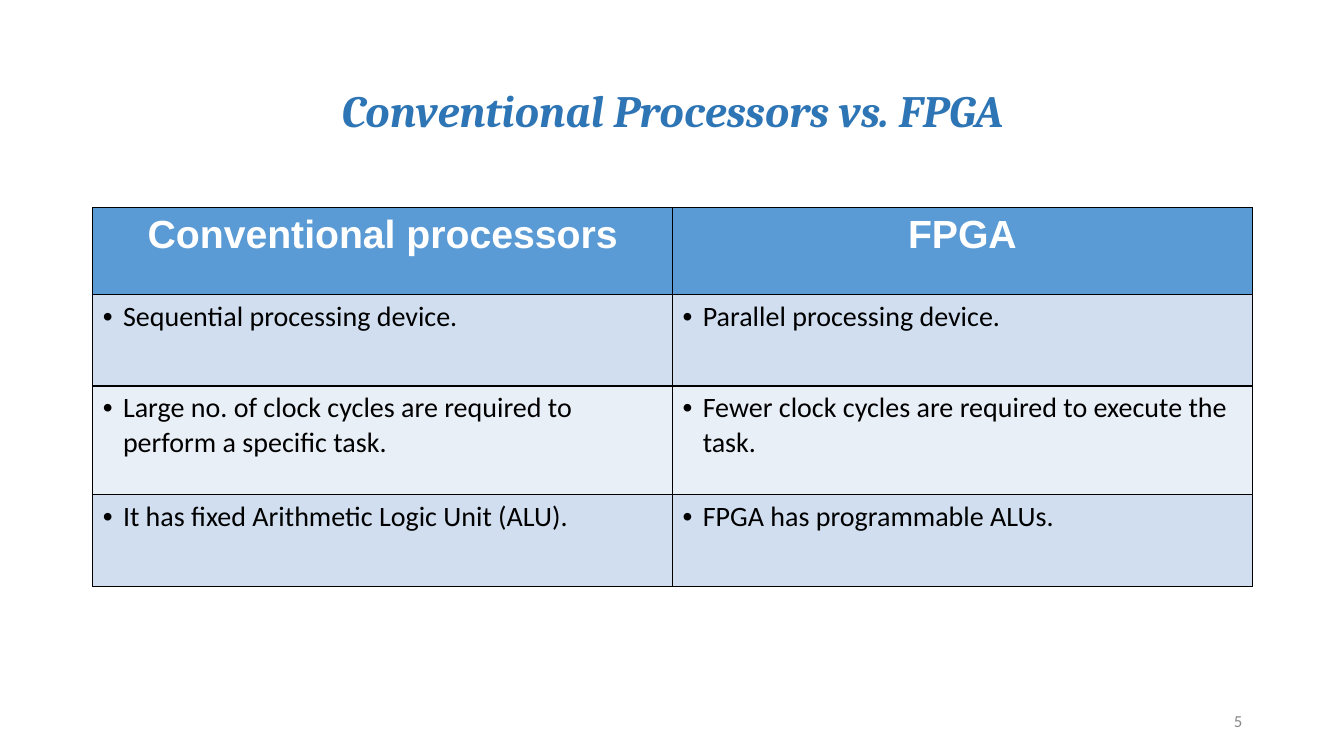
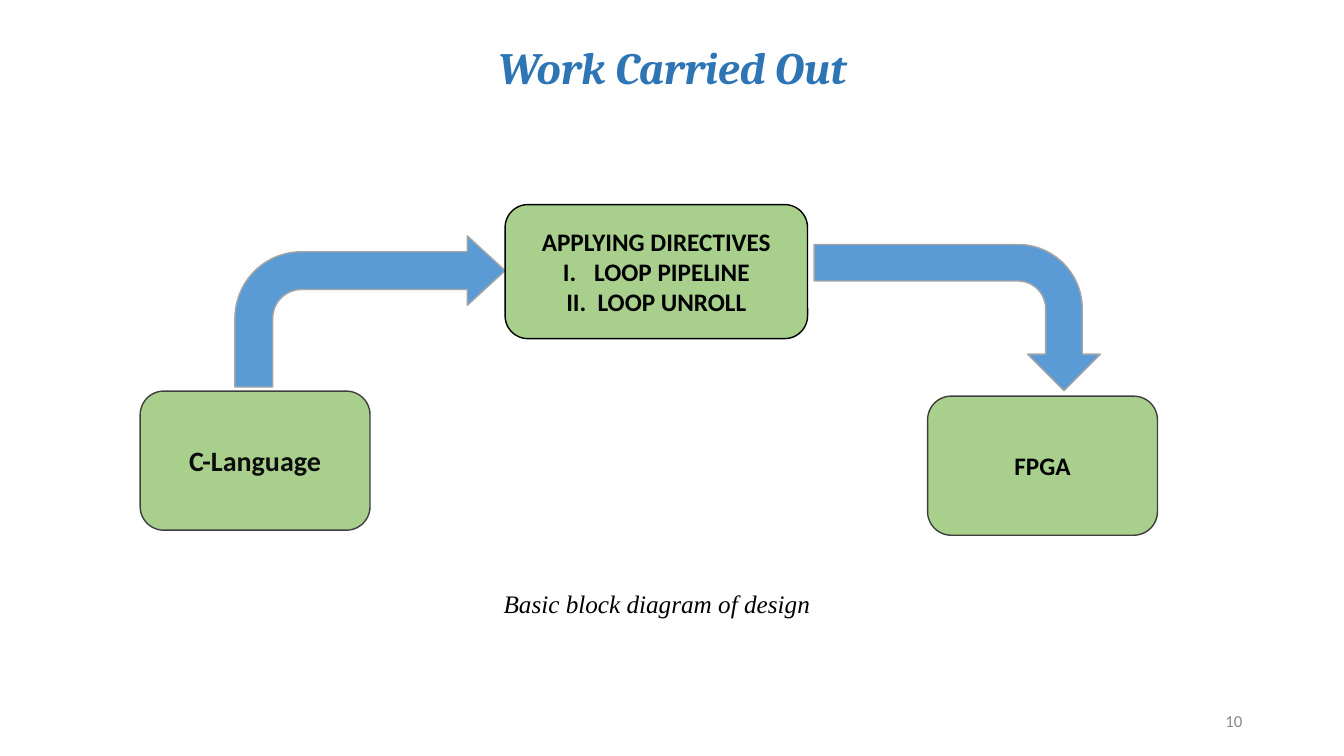
from lxml import etree
from pptx import Presentation
from pptx import util as u
from pptx.dml.color import RGBColor
from pptx.enum import shapes, text
from pptx.oxml import ns

PX = 9144
BLACK = RGBColor(0, 0, 0)
WHITE = RGBColor(255, 255, 255)
INK = RGBColor(0x0C, 0x0C, 0x0C)
EDGE = RGBColor(0x3F, 0x3F, 0x3F)
GRAY = RGBColor(0x88, 0x88, 0x88)
SILVER = RGBColor(0xA5, 0xA5, 0xA5)
NAVY = RGBColor(0x2E, 0x75, 0xB5)
BLUE = RGBColor(0x5B, 0x9B, 0xD5)
BANDS = RGBColor(0xD0, 0xDE, 0xEF), RGBColor(0xE9, 0xEF, 0xF7)
GREEN = RGBColor(0xA8, 0xD0, 0x8C)
MID, RIGHT = text.PP_ALIGN.CENTER, text.PP_ALIGN.RIGHT
BOX, ARROW = shapes.MSO_SHAPE.ROUNDED_RECTANGLE, shapes.MSO_SHAPE.BENT_ARROW

ROWS = [
    ("Conventional processors", "FPGA"),
    ("Sequential processing device.", "Parallel processing device."),
    ("Large no. of clock cycles are required to perform a specific task.",
     "Fewer clock cycles are required to execute the task."),
    ("It has fixed Arithmetic Logic Unit (ALU).", "FPGA has programmable ALUs."),
]
HEIGHTS = 86, 91, 108, 91


def px(*nums):
    """Turn px lengths into EMU."""
    return [u.Emu(num * PX) for num in nums]


def style(frame, size, color, face="Calibri", align=None, bold=False, slant=False):
    """Format every paragraph and run of a text frame."""
    for par in frame.paragraphs:
        par.alignment = align
        for run in par.runs:
            font = run.font
            font.name, font.size = face, u.Pt(size)
            font.bold, font.italic = bold, slant
            font.color.rgb = color


def bullet(par, gap, kind, **attrs):
    """Give a paragraph a hanging bullet or number."""
    props = par._p.get_or_add_pPr()
    props.set("marL", str(gap * PX))
    props.set("indent", str(-gap * PX))
    tint = etree.SubElement(props, ns.qn("a:buClr"))
    etree.SubElement(tint, ns.qn("a:srgbClr"), val=str(BLACK))
    etree.SubElement(props, ns.qn("a:buFont"), typeface="Arial" if kind == "buChar" else "Calibri")
    etree.SubElement(props, ns.qn("a:" + kind), **attrs)


def label(slide, box, words, size, color, anchor=text.MSO_ANCHOR.MIDDLE, **look):
    """Add a wrapped text box."""
    frame = slide.shapes.add_textbox(*px(*box)).text_frame
    frame.word_wrap = True
    frame.vertical_anchor = anchor
    frame.text = words
    style(frame, size, color, **look)
    return frame


def page(deck, title, top, high, num):
    """Add a slide with its title and page number."""
    slide = deck.slides.add_slide(deck.slide_layouts[6])
    head = label(slide, (92, top, 1150, high), title, 32, NAVY,
                 face="Cambria", align=MID, bold=True, slant=True)
    head.paragraphs[0].line_spacing = 0.9
    label(slide, (942, 695, 300, 40), str(num), 12, GRAY, align=RIGHT)
    return slide


def border(cell):
    """Draw thin black lines round a cell."""
    props = cell._tc.get_or_add_tcPr()
    for side in ("lnL", "lnR", "lnT", "lnB"):
        line = etree.SubElement(props, ns.qn("a:" + side), w=str(u.Pt(1)))
        fill = etree.SubElement(line, ns.qn("a:solidFill"))
        etree.SubElement(fill, ns.qn("a:srgbClr"), val=str(BLACK))


def table(slide, left, top, wide):
    """Add the comparison table."""
    frame = slide.shapes.add_table(len(ROWS), 2, *px(left, top, wide, sum(HEIGHTS)))
    grid = frame.table
    for col in grid.columns:
        col.width = px(wide // 2)[0]
    for i, (row, high) in enumerate(zip(ROWS, HEIGHTS)):
        grid.rows[i].height = px(high)[0]
        for j, words in enumerate(row):
            cell = grid.cell(i, j)
            border(cell)
            cell.fill.solid()
            cell.fill.fore_color.rgb = BANDS[(i - 1) % 2] if i else BLUE
            cell.text_frame.text = words
            if i:
                bullet(cell.text_frame.paragraphs[0], 20, "buChar", char="•")
                style(cell.text_frame, 20, BLACK)
            else:
                style(cell.text_frame, 28, WHITE, face="Arial", align=MID, bold=True)


def shape(slide, kind, box, fill, edge, adjs):
    """Add a filled, outlined preset shape."""
    item = slide.shapes.add_shape(kind, *px(*box))
    item.shadow.inherit = False
    item.fill.solid()
    item.fill.fore_color.rgb = fill
    item.line.color.rgb = edge
    item.line.width = u.Pt(1)
    for i, val in enumerate(adjs):
        item.adjustments[i] = val
    return item


def block(slide, box, words, size, color=BLACK, edge=EDGE):
    """Add a green block whose lines after the first are numbered."""
    frame = shape(slide, BOX, box, GREEN, edge, [0.17]).text_frame
    frame.word_wrap = True
    frame.vertical_anchor = text.MSO_ANCHOR.MIDDLE
    frame.text = words
    for par in frame.paragraphs[1:]:
        bullet(par, 31, "buAutoNum", type="romanUcPeriod")
    style(frame, size, color, align=MID, bold=True)


def arrow(slide, box, bend, turn=0):
    """Add a bent arrow."""
    item = shape(slide, ARROW, box, BLUE, SILVER, [0.25, bend, 0.25, 0.44])
    item.rotation = turn


def diagram(slide, left, top):
    """Add the block diagram and its caption."""
    def at(x, y, *size):
        """Shift a box to the diagram's corner."""
        return left + x, top + y, *size

    block(slide, at(0, 185, 228, 138), "C-Language", 20, INK)
    arrow(slide, at(94, 31, 268, 150), 0.23)
    block(slide, at(362, 0, 300, 133),
          "APPLYING DIRECTIVES\nLOOP PIPELINE\nLOOP UNROLL", 18, edge=BLACK)
    arrow(slide, at(738, -30, 145, 284), 0.25, 90)
    block(slide, at(781, 190, 228, 138), "FPGA", 18)
    label(slide, at(275, 376, 475, 40), "Basic block diagram of design", 18, BLACK,
          text.MSO_ANCHOR.TOP, face="Times New Roman", align=MID, slant=True)


def main():
    """Build and save the deck."""
    deck = Presentation()
    deck.slide_width, deck.slide_height = px(1333, 750)
    table(page(deck, "Conventional Processors vs. FPGA", 40, 145, 5), 92, 206, 1150)
    diagram(page(deck, "Work Carried Out", 20, 98, 10), 139, 203)
    deck.save("out.pptx")


if __name__ == "__main__":
    main()
